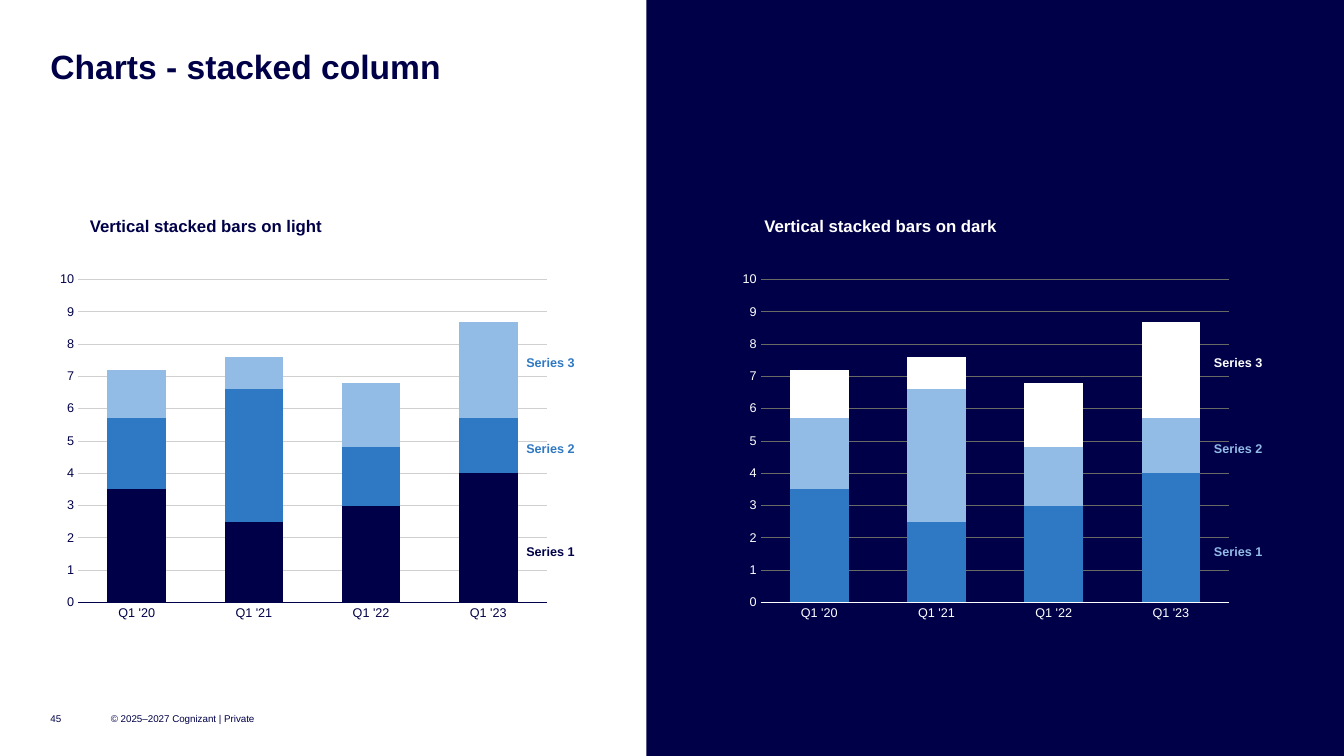
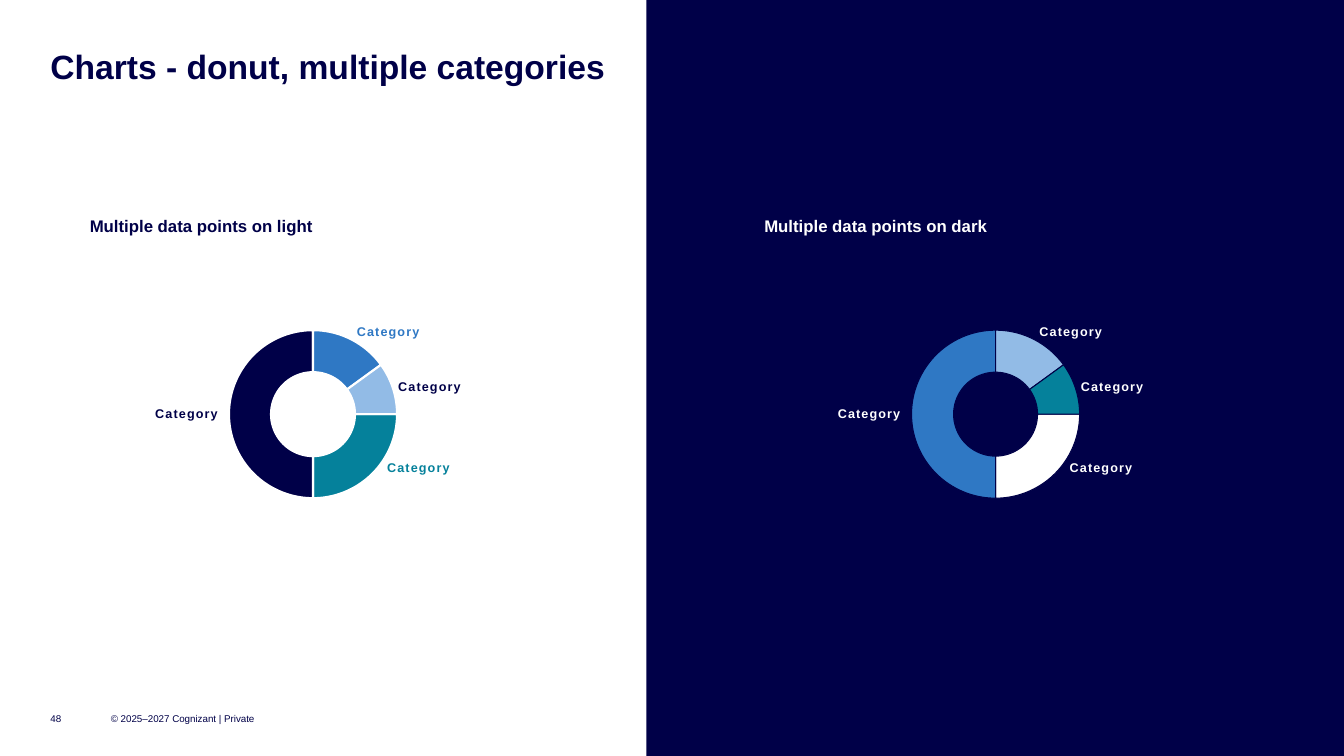
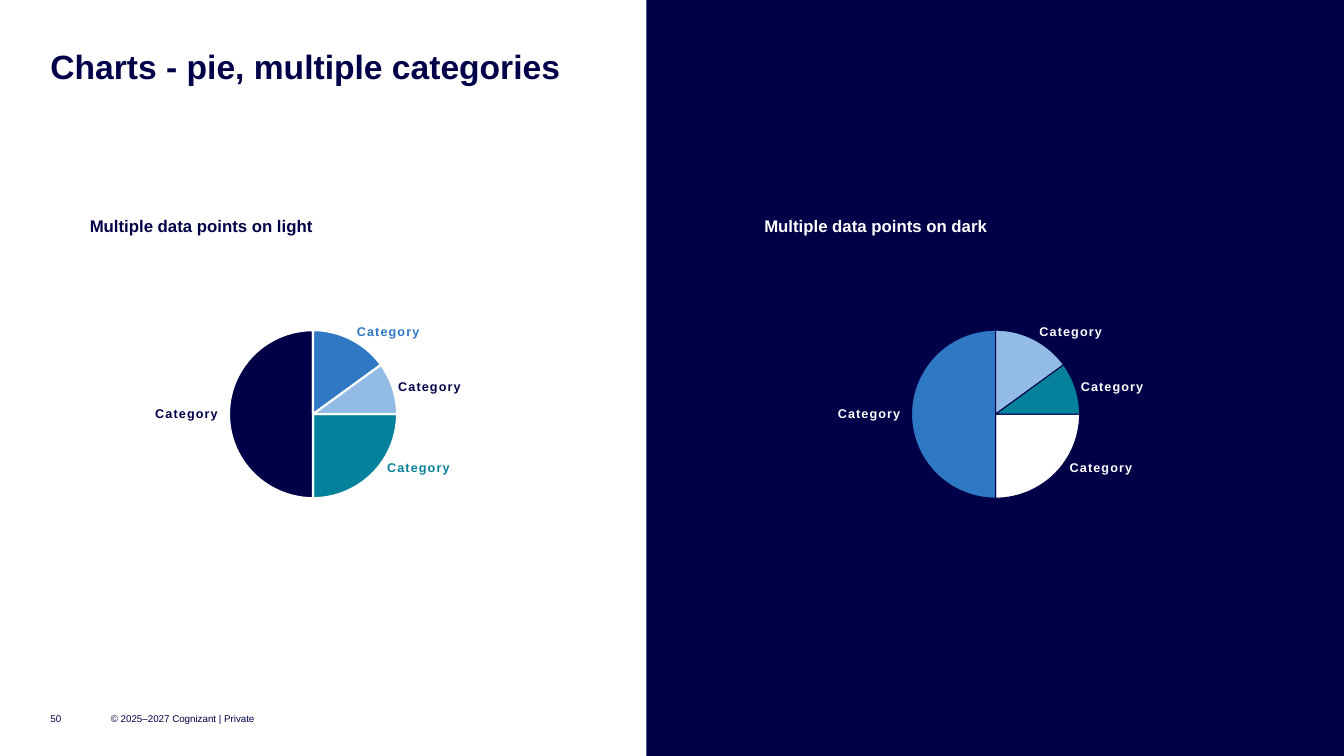
from dataclasses import dataclass
from typing import Any

from lxml import etree
from pptx import Presentation
from pptx.chart.data import CategoryChartData
from pptx.dml.color import RGBColor
from pptx.enum.chart import XL_CHART_TYPE, XL_TICK_MARK
from pptx.enum.shapes import MSO_SHAPE
from pptx.enum.text import MSO_ANCHOR, MSO_AUTO_SIZE, PP_ALIGN
from pptx.oxml.ns import qn
from pptx.util import Inches, Pt

STACK = XL_CHART_TYPE.COLUMN_STACKED
DONUT = XL_CHART_TYPE.DOUGHNUT
PIE = XL_CHART_TYPE.PIE
NO_TICK = XL_TICK_MARK.NONE
RECT = MSO_SHAPE.RECTANGLE
TOP, MIDDLE = MSO_ANCHOR.TOP, MSO_ANCHOR.MIDDLE
LEFT = PP_ALIGN.LEFT
GROW, FIXED = MSO_AUTO_SIZE.SHAPE_TO_FIT_TEXT, MSO_AUTO_SIZE.NONE

FONT = "Arial"
HUES = {
    "navy": "000048", "blue": "2F78C4", "sky": "92BBE6", "teal": "05819B",
    "white": "FFFFFF", "pale": "D0D0CE", "grey": "6A6A65",
}
FOOTER = "© 2025–2027 Cognizant | Private"
MARGINS = {"margin_" + edge: 0 for edge in ("left", "top", "right", "bottom")}

YEARS = ("Q1 '20", "Q1 '21", "Q1 '22", "Q1 '23")
BARS = {
    "Series 1": (3.5, 2.5, 3, 4),
    "Series 2": (2.2, 4.1, 1.8, 1.7),
    "Series 3": (1.5, 1, 2, 3),
}
KEY_TOPS = (5.4, 4.37, 3.52)
SHARES = (25, 50, 15, 10)
# Left and top of the label of each share, on the light side
TAGS = ((3.84, 4.56), (1.54, 4.03), (3.54, 3.21), (3.95, 3.76))
# Share of the chart taken by its plot: left, top, width, height
BAR_PLOT = (0.055, 0.04, 0.93, 0.89)
RING_PLOT = (0.215, 0.075, 0.57, 0.855)


@dataclass(frozen=True)
class Side:
    """Colours and left edges of one half of the slide."""
    name: str
    ink: str
    grid: str
    bars: tuple[str, ...]
    keys: tuple[str, ...]
    slices: tuple[str, ...]
    tags: tuple[str, ...]
    edge: str
    rule: float
    head: float
    chart: float
    key: float
    shift: float


@dataclass(frozen=True)
class Page:
    title: str
    head: str
    kind: Any
    number: int


SIDES = (
    Side("light", "navy", "pale", ("navy", "blue", "sky"), ("navy", "blue", "blue"),
         ("teal", "navy", "blue", "sky"), ("teal", "navy", "blue", "navy"),
         "white", 1.5, 0.89, 0.5, 5.22, 0),
    Side("dark", "white", "grey", ("blue", "sky", "white"), ("sky", "sky", "white"),
         ("white", "blue", "sky", "teal"), ("white",) * 4,
         "navy", 0.75, 7.58, 7.27, 12.04, 6.77),
)
PAGES = (
    Page("Charts - stacked column", "Vertical stacked bars on", STACK, 45),
    Page("Charts - donut, multiple categories", "Multiple data points on", DONUT, 48),
    Page("Charts - pie, multiple categories", "Multiple data points on", PIE, 50),
)


def rgb(hue: str) -> RGBColor:
    return RGBColor.from_string(HUES[hue])


def assign(target: Any, values: dict[str, Any]) -> None:
    for name, value in values.items():
        setattr(target, name, value)


def style(font: Any, size: float, hue: str, bold: bool = False) -> None:
    assign(font, {"name": FONT, "size": Pt(size), "bold": bold})
    font.color.rgb = rgb(hue)


def paint(part: Any, hue: str) -> None:
    part.fill.solid()
    part.fill.fore_color.rgb = rgb(hue)


def stroke(line: Any, hue: str, width: float) -> None:
    line.color.rgb = rgb(hue)
    line.width = Pt(width)


def place(shape: Any, box: tuple[float, ...]) -> None:
    assign(shape, dict(zip(("left", "top", "width", "height"), map(Inches, box))))


def write(slide: Any, text: str, box: tuple[float, ...], size: float, hue: str,
          bold: bool = True, space: int = 0, **frame: Any) -> None:
    label = slide.shapes.add_textbox(*map(Inches, box)).text_frame
    assign(label, MARGINS | {"word_wrap": True, "auto_size": GROW} | frame)
    run = label.paragraphs[0].add_run()
    run.text = text
    style(run.font, size, hue, bold)
    if space:
        run.font._element.set("spc", str(space))


def fix_plot(chart: Any, plot: tuple[float, ...]) -> None:
    """Pin the inner plot area to the given shares of the chart."""
    area = chart._chartSpace.find(".//" + qn("c:plotArea"))
    for old in area.findall(qn("c:layout")):
        area.remove(old)
    layout = etree.Element(qn("c:layout"))
    manual = etree.SubElement(layout, qn("c:manualLayout"))
    values = {"layoutTarget": "inner", "xMode": "edge", "yMode": "edge"}
    values |= dict(zip("xywh", map(str, plot)))
    for name, value in values.items():
        etree.SubElement(manual, qn("c:" + name)).set("val", value)
    area.insert(0, layout)


def add_chart(slide: Any, kind: Any, box: tuple[float, ...], names: tuple[str, ...],
              rows: dict[str, tuple[float, ...]], plot: tuple[float, ...]) -> Any:
    data = CategoryChartData()
    data.categories = names
    for name, values in rows.items():
        data.add_series(name, values)
    chart = slide.shapes.add_chart(kind, *map(Inches, box), data).chart
    assign(chart, {"has_legend": False, "has_title": False})
    style(chart.font, 10, "navy")
    fix_plot(chart, plot)
    return chart


def draw_bars(slide: Any, side: Side) -> None:
    chart = add_chart(slide, STACK, (side.chart, 2.63, 5, 3.6), YEARS, BARS, BAR_PLOT)
    plot = chart.plots[0]
    assign(plot, {"gap_width": 100, "overlap": 100, "vary_by_categories": False})
    for series, hue in zip(plot.series, side.bars):
        paint(series.format, hue)
    for axis in (chart.category_axis, chart.value_axis):
        assign(axis, {"major_tick_mark": NO_TICK, "minor_tick_mark": NO_TICK})
        style(axis.tick_labels.font, 9, side.ink)
    stroke(chart.category_axis.format.line, side.ink, 0.75)
    scale = chart.value_axis
    assign(scale, {"minimum_scale": 0, "maximum_scale": 10, "major_unit": 1,
                   "has_major_gridlines": True})
    scale.format.line.fill.background()
    stroke(scale.major_gridlines.format.line, side.grid, 0.75)
    for name, top, hue in zip(BARS, KEY_TOPS, side.keys):
        write(slide, name, (side.key, top, 0.71, 0.15), 9, hue)


def draw_ring(slide: Any, side: Side, kind: Any) -> None:
    chart = add_chart(slide, kind, (1.64 + side.shift, 3.13, 2.93, 1.95),
                      ("1", "2", "3", "4"), {"Series 1": SHARES}, RING_PLOT)
    plot = chart.plots[0]
    plot.vary_by_categories = True
    root = plot._element
    turn = root.find(qn("c:firstSliceAng"))
    if turn is None:
        turn = etree.SubElement(root, qn("c:firstSliceAng"))
    turn.set("val", "90")
    if kind == DONUT:
        root.find(qn("c:holeSize")).set("val", "68")
    for i, hue in enumerate(side.slices):
        look = plot.series[0].points[i].format
        paint(look, hue)
        stroke(look.line, side.edge, side.rule)
    for (left, top), hue in zip(TAGS, side.tags):
        write(slide, "Category", (left + side.shift, top, 0.64, 0.15), 9, hue,
              space=80, word_wrap=False)


def add_base(deck: Any, page: Page) -> Any:
    """Add a slide with its title, dark half and footer."""
    slide = deck.slides.add_slide(deck.slide_layouts[5])
    title = slide.shapes.title
    place(title, (0.5, 0.5, 12.33, 0.36))
    frame = title.text_frame
    frame.text = page.title
    assign(frame, MARGINS | {"vertical_anchor": TOP, "word_wrap": True,
                             "auto_size": FIXED})
    line = frame.paragraphs[0]
    assign(line, {"alignment": LEFT, "line_spacing": 0.9})
    style(line.runs[0].font, 24, "navy", True)
    panel = slide.shapes.add_shape(RECT, *map(Inches, (6.41, 0, 6.92, 7.5)))
    panel.shadow.inherit = False
    paint(panel, "navy")
    panel.line.fill.background()
    for text, left, width in ((str(page.number), 0.5, 0.4), (FOOTER, 1.1, 1.5)):
        write(slide, text, (left, 7, width, 0.25), 7, "navy", bold=False,
              vertical_anchor=MIDDLE, auto_size=FIXED)
    return slide


def main() -> None:
    deck = Presentation()
    assign(deck, {"slide_width": Inches(13.33), "slide_height": Inches(7.5)})
    for page in PAGES:
        slide = add_base(deck, page)
        for side in SIDES:
            write(slide, f"{page.head} {side.name}", (side.head, 2.14, 2.58, 0.2),
                  12, side.ink)
            if page.kind == STACK:
                draw_bars(slide, side)
            else:
                draw_ring(slide, side, page.kind)
    deck.save("out.pptx")


if __name__ == "__main__":
    main()
